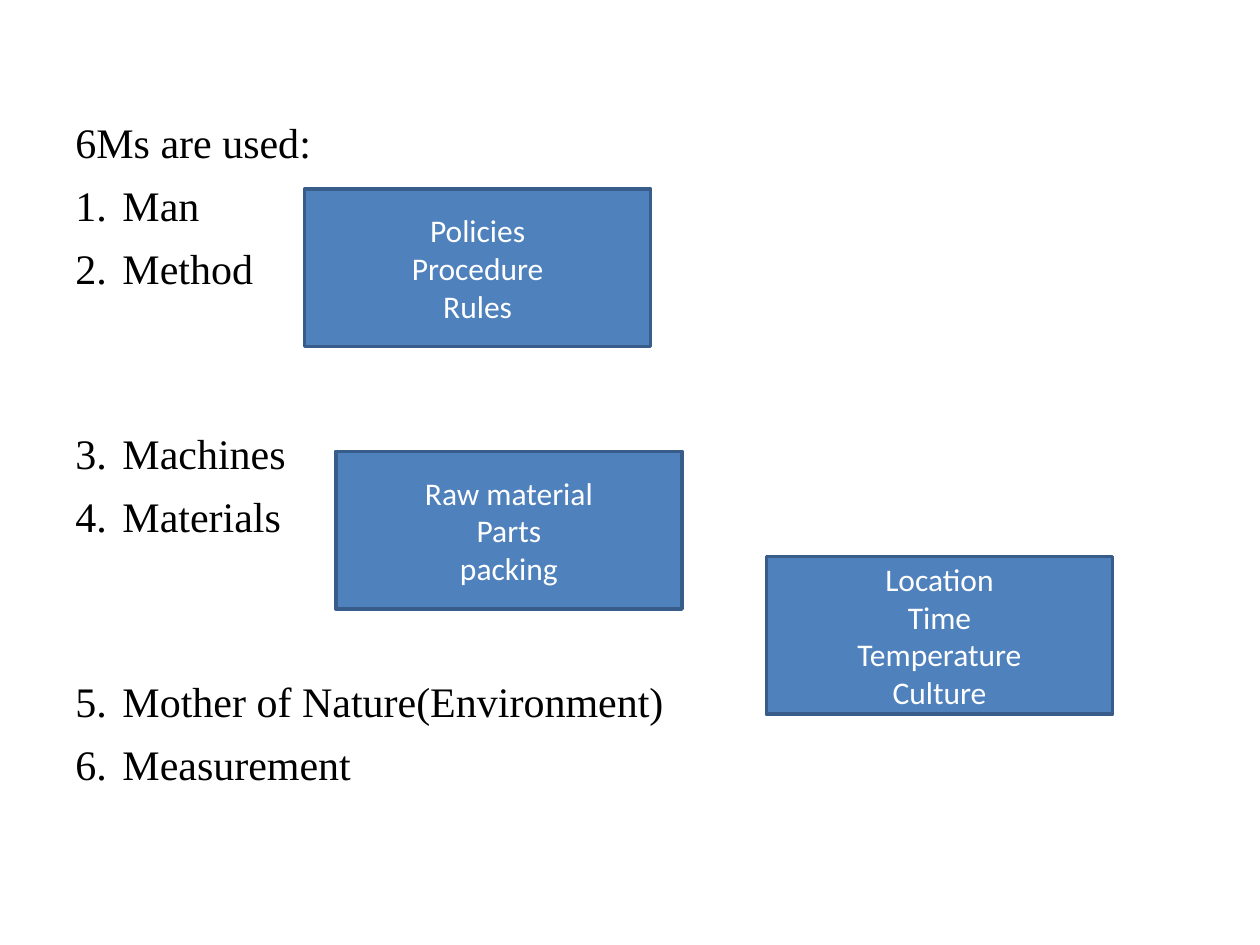
from lxml import etree
from pptx import Presentation
from pptx.dml.color import RGBColor
from pptx.enum.shapes import MSO_SHAPE
from pptx.enum.text import MSO_ANCHOR, PP_ALIGN
from pptx.oxml.ns import qn
from pptx.util import Cm, Pt

RECT = MSO_SHAPE.RECTANGLE
MIDDLE = MSO_ANCHOR.MIDDLE
CENTER = PP_ALIGN.CENTER

LINE_GAP = 7.2
BOX_GAP = 76.8  # leaves room for the detail box beside the item above


def rgb(value):
    return RGBColor.from_string(value)


def add_run(p, text, size, font, color):
    r = p.add_run()
    r.text = text
    r.font.size = Pt(size)
    r.font.name = font
    r.font.color.rgb = rgb(color)


prs = Presentation()
prs.slide_width, prs.slide_height = Cm(25.4), Cm(19.05)
s = prs.slides.add_slide(prs.slide_layouts[6])

# Numbered list of the 6Ms
tf = s.shapes.add_textbox(Cm(1.27), Cm(2.12), Cm(22.86), Cm(14.9)).text_frame
tf.word_wrap = True
tf.margin_top = Cm(0.23)
add_run(tf.paragraphs[0], "6Ms are used:", 24, "Times New Roman", "000000")

items = [
    ("Man", LINE_GAP),
    ("Method", LINE_GAP),
    ("Machines", BOX_GAP),
    ("Materials", LINE_GAP),
    ("Mother of Nature(Environment)", BOX_GAP),
    ("Measurement", LINE_GAP),
]
for text, gap in items:
    p = tf.add_paragraph()
    p.space_before = Pt(gap)
    pPr = p._p.get_or_add_pPr()
    pPr.set("marL", str(Cm(0.95)))
    pPr.set("indent", str(-Cm(0.95)))
    etree.SubElement(pPr, qn("a:buFont"), typeface="Times New Roman")
    etree.SubElement(pPr, qn("a:buAutoNum"), type="arabicPeriod")
    add_run(p, text, 24, "Times New Roman", "000000")

# Detail boxes
details = [
    (6.14, 3.81, ["Policies", "Procedure", "Rules"]),
    (6.77, 9.1, ["Raw material", "Parts", "packing"]),
    (15.45, 11.22, ["Location", "Time", "Temperature", "Culture"]),
]
for left, top, lines in details:
    sp = s.shapes.add_shape(RECT, Cm(left), Cm(top), Cm(6.98), Cm(3.18))
    sp.shadow.inherit = False
    sp.fill.solid()
    sp.fill.fore_color.rgb = rgb("4F81BD")
    sp.line.color.rgb = rgb("385D8A")
    sp.line.width = Pt(2)
    tf = sp.text_frame
    tf.word_wrap = True
    tf.vertical_anchor = MIDDLE
    for i, text in enumerate(lines):
        p = tf.add_paragraph() if i else tf.paragraphs[0]
        p.alignment = CENTER
        add_run(p, text, 18, "Calibri", "FFFFFF")

prs.save("out.pptx")
